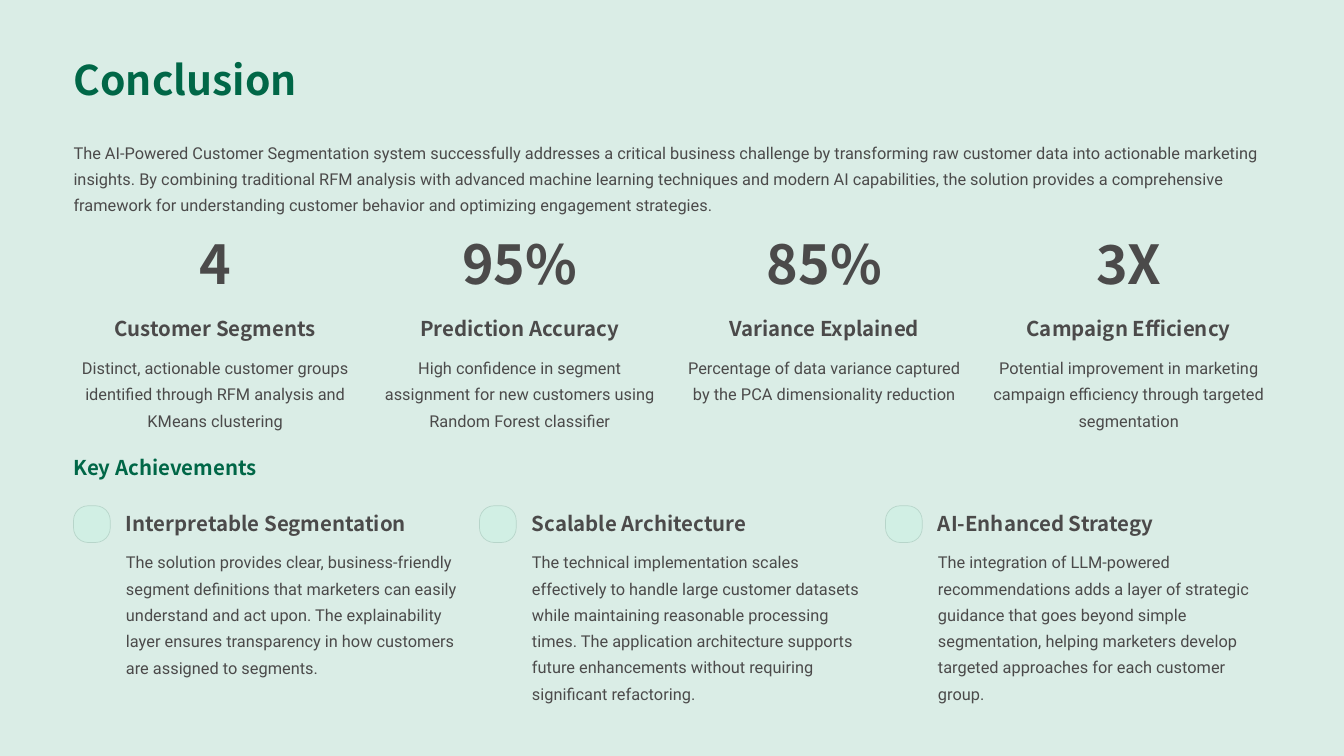
from pptx import Presentation, util as u
from pptx.dml.color import RGBColor
from pptx.enum import shapes, text

HUES = {"back": "DAEDE6", "green": "006747", "gray": "4B4A4A",
        "tile": "D1EFE4", "edge": "B7D5CA"}
HEAD, BODY = "Noto Sans CJK SC", "Roboto"
LEFT, WIDE = 84, 1369
STATS = [
    ("4", "Customer Segments",
     "Distinct, actionable customer groups identified through RFM analysis and KMeans clustering"),
    ("95%", "Prediction Accuracy",
     "High confidence in segment assignment for new customers using Random Forest classifier"),
    ("85%", "Variance Explained",
     "Percentage of data variance captured by the PCA dimensionality reduction"),
    ("3X", "Campaign Efficiency",
     "Potential improvement in marketing campaign efficiency through targeted segmentation"),
]
GAINS = [
    ("Interpretable Segmentation",
     "The solution provides clear, business-friendly segment definitions that marketers can easily "
     "understand and act upon. The explainability layer ensures transparency in how customers are "
     "assigned to segments."),
    ("Scalable Architecture",
     "The technical implementation scales effectively to handle large customer datasets while "
     "maintaining reasonable processing times. The application architecture supports future "
     "enhancements without requiring significant refactoring."),
    ("AI-Enhanced Strategy",
     "The integration of LLM-powered recommendations adds a layer of strategic guidance that goes "
     "beyond simple segmentation, helping marketers develop targeted approaches for each customer "
     "group."),
]


def px(n):
    return u.Emu(n * 9525)


def hue(name):
    return RGBColor.from_string(HUES[name])


class Deck:
    def __init__(self):
        self.file = Presentation()
        self.file.slide_width, self.file.slide_height = px(1536), px(864)
        self.slide = self.file.slides.add_slide(self.file.slide_layouts[6])
        fill = self.slide.background.fill
        fill.solid()
        fill.fore_color.rgb = hue("back")

    def words(self, copy, x, y, w, h, size, lead, face, color="gray", mid=False):
        frame = self.slide.shapes.add_textbox(px(x), px(y), px(w), px(h)).text_frame
        frame.word_wrap = True
        frame.margin_left = frame.margin_right = frame.margin_top = frame.margin_bottom = 0
        para = frame.paragraphs[0]
        para.text = copy
        para.line_spacing = u.Pt(lead)
        para.alignment = text.PP_ALIGN.CENTER if mid else text.PP_ALIGN.LEFT
        font = para.font
        font.name, font.size, font.bold = face, u.Pt(size), face == HEAD
        font.color.rgb = hue(color)

    def label(self, copy, x, y, w, **style):
        self.words(copy, x, y, w, 30, 17.5, 21.5, HEAD, **style)

    def body(self, copy, x, y, w, h, **style):
        self.words(copy, x, y, w, h, 14, 22.5, BODY, **style)

    def tile(self, x, y, side):
        box = self.slide.shapes.add_shape(
            shapes.MSO_SHAPE.ROUNDED_RECTANGLE, px(x), px(y), px(side), px(side))
        box.adjustments[0] = 0.4
        box.shadow.inherit = False
        box.fill.solid()
        box.fill.fore_color.rgb = hue("tile")
        box.line.color.rgb = hue("edge")
        box.line.width = u.Pt(0.6)


def main():
    deck = Deck()
    deck.words("Conclusion", LEFT, 60, 468, 59, 35, 43.5, HEAD, "green")
    deck.body(
        "The AI-Powered Customer Segmentation system successfully addresses a critical business "
        "challenge by transforming raw customer data into actionable marketing insights. By combining "
        "traditional RFM analysis with advanced machine learning techniques and modern AI "
        "capabilities, the solution provides a comprehensive framework for understanding customer "
        "behavior and optimizing engagement strategies.", LEFT, 156, WIDE, 90)

    for i, (value, name, note) in enumerate(STATS):
        x = LEFT + 348 * i
        deck.words(value, x, 276, 324, 61, 46, 46, HEAD, mid=True)
        deck.label(name, x, 361, 324, mid=True)
        deck.body(note, x, 402, 324, 90, mid=True)

    deck.label("Key Achievements", LEFT, 520, 234, color="green")
    for i, (name, note) in enumerate(GAINS):
        x = LEFT + 464 * i
        deck.tile(x, 578, 42)
        deck.label(name, x + 60, 584, 380)
        deck.body(note, x + 60, 624, 380, 180)

    deck.file.save("out.pptx")


if __name__ == "__main__":
    main()
